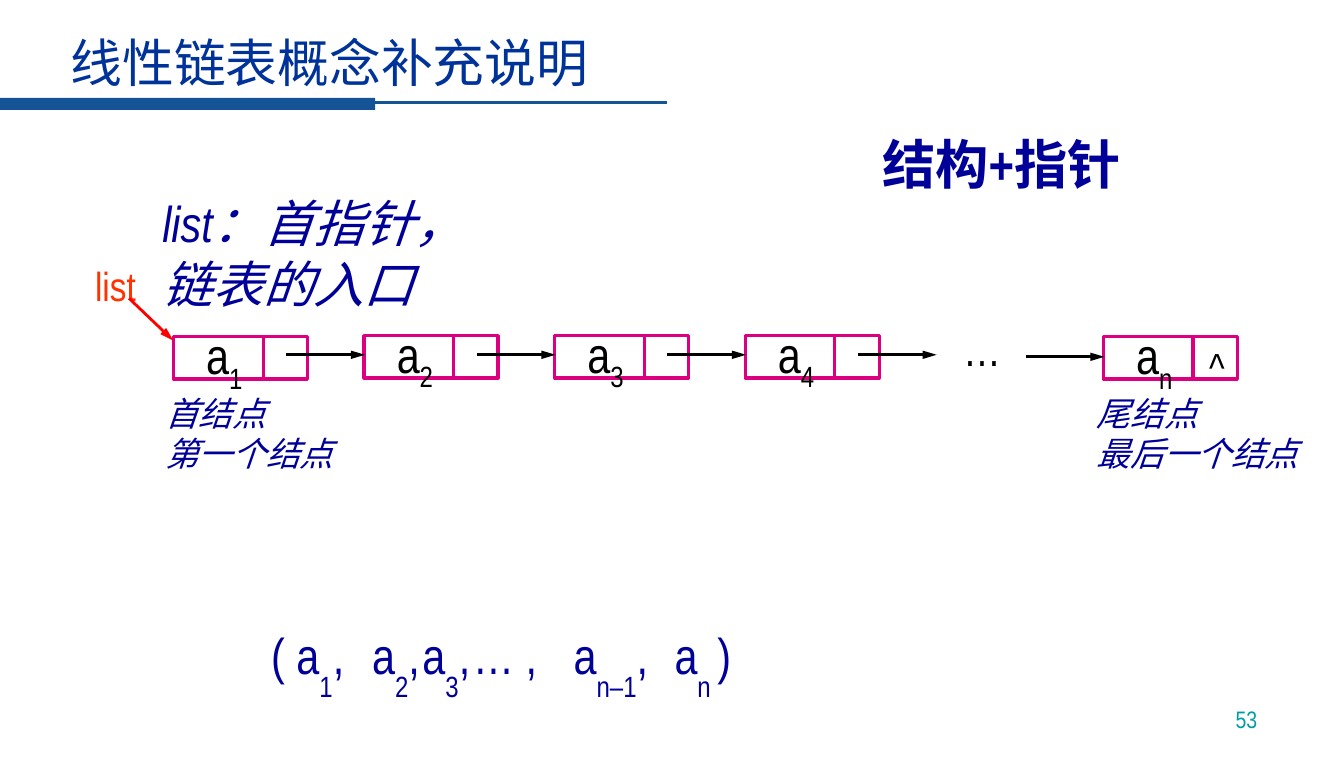
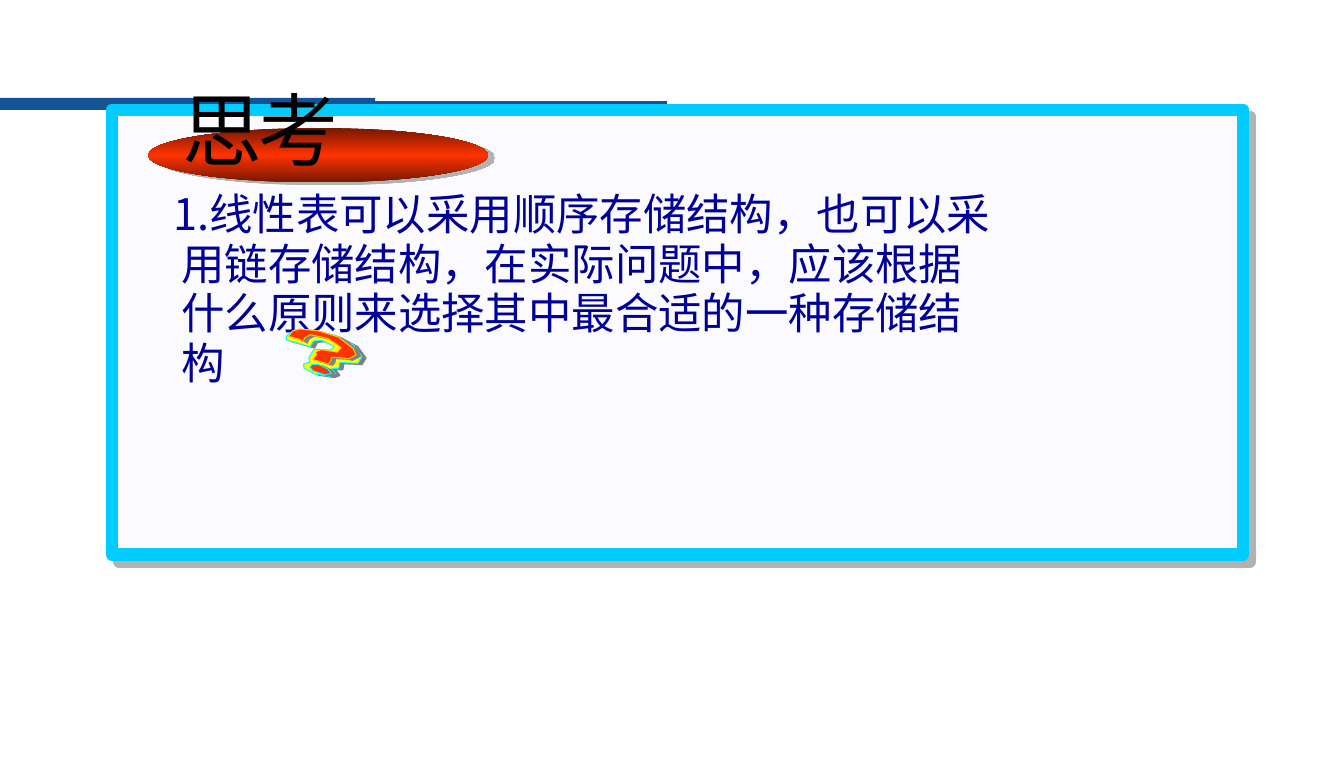
"""Builds two slides on linked lists: a node diagram and a question to think about."""
from copy import deepcopy

from lxml import etree
from pptx import Presentation, util as u
from pptx.dml.color import RGBColor
from pptx.enum import shapes, text
from pptx.oxml.ns import qn

W, H = 13.33, 7.52
LATIN, CJK = "Arial Narrow", "Noto Sans CJK SC"
COLORS = {
    "band": "145396", "title": "003399", "number": "009EA1", "ink": "000099",
    "black": "000000", "node": "DC0081", "list": "FF3300", "red": "FF0000",
    "panel": "FBFBFF", "cyan": "00CCFF", "shade": "B2B2B2", "dark": "761800",
    "yellow": "FFFF00", "aqua": "00FFFF", "gold": "FFCC00", "gray": "808080",
}
ALIGN = {"l": text.PP_ALIGN.LEFT, "c": text.PP_ALIGN.CENTER, "r": text.PP_ALIGN.RIGHT}
ANCHOR = {"t": text.MSO_ANCHOR.TOP, "m": text.MSO_ANCHOR.MIDDLE, "b": text.MSO_ANCHOR.BOTTOM}
RECT, OVAL = shapes.MSO_SHAPE.RECTANGLE, shapes.MSO_SHAPE.OVAL
WIDE = (0.12, 0.06)

TITLE = "线性链表概念补充说明"
NODE_X, NODE_PITCH, DATA_W, LINK_W, NODE_H = 1.72, 1.89, 0.89, 0.44, 0.42
NODES = [("1", 0, 3.34), ("2", 1, 3.33), ("3", 2, 3.33), ("4", 3, 3.33), ("n", 4.88, 3.34)]
ARROW_X, ARROW_W = 2.84, 0.78
ARROWS = [(0, 3.52), (1, 3.52), (2, 3.52), (3, 3.52), (3.88, 3.54)]
MARKS = [
    ("…", (9.45, 3.13, 0.58, 0.66), 33, "black"),
    ("^", (11.89, 3.34, 0.36, 0.59), 29, "black"),
    ("list", (0.84, 2.54, 0.61, 0.59), 29, "list"),
]
NOTES = [
    (["list：首指针，链表的入口"], (1.49, 1.85, 3.44, 1.33), {"size": 36, "italic": True}),
    (["首结点", "第一个结点"], (1.52, 3.84, 2.22, 0.93), {"size": 24, "italic": True}),
    (["尾结点", "最后一个结点"], (10.76, 3.84, 2.57, 0.93), {"size": 24, "italic": True}),
    (["结构+指针"], (8.63, 1.24, 3.44, 0.76), {"size": 38, "bold": True}),
]
SEQUENCE = [("( a", 0), ("1", -46), (",\ta", 0), ("2", -46), (",\ta", 0), ("3", -46),
            (",\t… ,\ta", 0), ("n–1", -46), (",\ta", 0), ("n ", -46), (")", 0)]
SEQUENCE_TABS = [0.93, 1.64, 2.44, 3.31, 4.29]

HEADING = [("思", (1.71, 1.38, 4.07, 0.42)), ("考", (2.47, 1.38, 1.56, 0.42))]
QUESTION = "\v".join([
    "1.线性表可以采用顺序存储结构，也可以采",
    "用链存储结构，在实际问题中，应该根据",
    "什么原则来选择其中最合适的一种存储结",
    "构",
])
QUESTION_MARK = [
    ("yellow", "aqua", [
        (309, 340), (317, 338), (330, 342), (328, 346), (311, 348), (307, 357), (309, 361),
        (303, 364), (304, 368), (315, 372), (331, 372), (336, 369), (331, 364), (338, 363),
        (338, 357), (356, 355), (359, 348), (349, 338), (328, 331), (303, 330), (289, 332),
        (282, 339), (282, 343), (307, 346)]),
    ("list", "gold", [
        (285, 339), (295, 340), (300, 342), (301, 338), (306, 334), (323, 335), (330, 338),
        (338, 342), (335, 347), (319, 347), (314, 350), (315, 353), (312, 358), (328, 360),
        (330, 357), (330, 353), (340, 352), (347, 352), (354, 347), (350, 341), (334, 332),
        (313, 329), (295, 330), (288, 333)]),
    ("list", "aqua", [
        (315, 362), (309, 363), (307, 366), (311, 369), (323, 371), (329, 369), (325, 365)]),
]


def rgb(name):
    return RGBColor.from_string(COLORS[name])


def inches(values):
    return [u.Inches(v) for v in values]


def add_shadow(effects, color, dist, angle):
    shadow = etree.SubElement(effects, qn("a:outerShdw"), blurRad="0",
                              dist=str(u.Pt(dist)), dir=str(angle * 60000),
                              algn="ctr", rotWithShape="0")
    etree.SubElement(shadow, qn("a:srgbClr"), val=color)


def style(sp, fill=None, line=None, width=0.75, shadow=None):
    sp.shadow.inherit = False
    if fill:
        sp.fill.solid()
        sp.fill.fore_color.rgb = rgb(fill)
    else:
        sp.fill.background()
    if line:
        sp.line.color.rgb = rgb(line)
        sp.line.width = u.Pt(width)
    else:
        sp.line.fill.background()
    if shadow:
        color, dist, angle = shadow
        add_shadow(sp._element.spPr.find(qn("a:effectLst")), COLORS[color], dist, angle)
    return sp


def add_box(s, kind, at, **look):
    return style(s.shapes.add_shape(kind, *inches(at)), **look)


def add_line(s, start, end, color, width, arrow=False):
    cx = s.shapes.add_connector(shapes.MSO_CONNECTOR.STRAIGHT, *inches(start + end))
    cx.line.color.rgb = rgb(color)
    cx.line.width = u.Pt(width)
    if arrow:
        etree.SubElement(cx.line._get_or_add_ln(), qn("a:tailEnd"),
                         type="triangle", w="med", len="lg")
    etree.SubElement(cx._element.spPr, qn("a:effectLst"))


def add_text(s, paragraphs, at, size, color="ink", font=LATIN, align="l", anchor="t",
             inset=(0.1, 0.05), wrap=True, bold=False, italic=False, spacing=None,
             margin=0, indent=0, tabs=(), shadow=None):
    tf = s.shapes.add_textbox(*inches(at)).text_frame
    tf.word_wrap = wrap
    tf.vertical_anchor = ANCHOR[anchor]
    tf.margin_left = tf.margin_right = u.Inches(inset[0])
    tf.margin_top = tf.margin_bottom = u.Inches(inset[1])
    for i, runs in enumerate(paragraphs):
        p = tf.paragraphs[0] if i == 0 else tf.add_paragraph()
        p.alignment = ALIGN[align]
        if spacing:
            p.line_spacing = spacing
        pr = p._p.get_or_add_pPr()
        pr.set("marL", str(u.Inches(margin)))
        pr.set("indent", str(u.Inches(indent)))
        if tabs:
            stops = etree.SubElement(pr, qn("a:tabLst"))
            for tab in tabs:
                etree.SubElement(stops, qn("a:tab"), pos=str(u.Inches(tab)), algn="l")
        for words, baseline in [(runs, 0)] if isinstance(runs, str) else runs:
            for j, part in enumerate(words.split("\v")):
                if j:
                    p.add_line_break()
                r = p.add_run()
                r.text = part
                f = r.font
                f.size, f.bold, f.italic = u.Pt(size), bold, italic
                f.color.rgb = rgb(color)
                rpr = r._r.get_or_add_rPr()
                if baseline:
                    rpr.set("baseline", str(baseline * 1000))
                if shadow:
                    add_shadow(etree.SubElement(rpr, qn("a:effectLst")), *shadow)
                f.name = font
                rpr.find(qn("a:latin")).addnext(
                    rpr.makeelement(qn("a:ea"), {"typeface": CJK}))


def new_slide(prs):
    s = prs.slides.add_slide(prs.slide_layouts[6])
    add_box(s, RECT, (0, 0.97, 3.72, 0.12), fill="band")
    add_line(s, (3.68, 1.02), (6.62, 1.02), "band", 2.25)
    return s


def build_list_slide(prs):
    s = new_slide(prs)
    add_text(s, ["53"], (9.81, 6.83, 2.78, 0.5), 17, "number", align="r", anchor="b", inset=WIDE)
    add_text(s, [TITLE], (0.47, 0.25, 6.69, 0.74), 37, "title", CJK, inset=WIDE, margin=0.11)
    for label, column, y in NODES:
        x = NODE_X + column * NODE_PITCH
        for left, width in ((x, DATA_W), (x + DATA_W, LINK_W)):
            add_box(s, RECT, (left, y, width, NODE_H), line="node", width=2.25)
        add_text(s, [[("a", 0), (label, -28)]], (x + 0.21, y - 0.17, 0.59, 0.71), 36, "black",
                 align="c", wrap=False)
    for column, y in ARROWS:
        x = ARROW_X + column * NODE_PITCH
        add_line(s, (x, y), (x + ARROW_W, y), "black", 2, arrow=True)
    for mark, at, size, color in MARKS:
        add_text(s, [mark], at, size, color, align="c", wrap=False)
    add_line(s, (1.28, 2.96), (1.72, 3.38), "red", 2, arrow=True)
    for lines, at, look in NOTES:
        add_text(s, lines, at, inset=WIDE, **look)
    add_text(s, [SEQUENCE], (2.57, 6.13, 6.8, 0.73), 36, inset=WIDE, tabs=SEQUENCE_TABS)


def build_question_slide(prs):
    s = new_slide(prs)
    add_box(s, RECT, (1.11, 1.09, 11.22, 4.41), fill="panel", line="cyan", width=9,
            shadow=("shade", 7.1, 45))
    badge = add_box(s, OVAL, (1.47, 1.27, 3.37, 0.54), shadow=("shade", 5.4, 22))
    badge.fill.gradient()
    badge.fill.gradient_angle = 90
    stops = badge._element.spPr.find(".//" + qn("a:gsLst"))
    stops.append(deepcopy(stops[0]))
    for stop, place, color in zip(badge.fill.gradient_stops, (0, 0.5, 1),
                                  ("dark", "list", "dark")):
        stop.position = place
        stop.color.rgb = rgb(color)
    for word, at in HEADING:
        add_text(s, [word], at, 57, "black", anchor="b", shadow=("FFFFFF", 2.8, 45))
    add_text(s, [QUESTION], (1.42, 1.84, 10.5, 2.08), 31, font=CJK, anchor="m",
             spacing=0.95, margin=0.28, indent=-0.08)
    for fill, line, points in QUESTION_MARK:
        outline = s.shapes.build_freeform(*points[0], scale=u.Inches(0.01))
        outline.add_line_segments(points[1:], close=True)
        sp = style(outline.convert_to_shape(), fill, line, shadow=("gray", 3.2, 18))
        sp.rotation = 8.8


def main():
    prs = Presentation()
    prs.slide_width, prs.slide_height = inches((W, H))
    build_list_slide(prs)
    build_question_slide(prs)
    prs.save("out.pptx")


if __name__ == "__main__":
    main()
